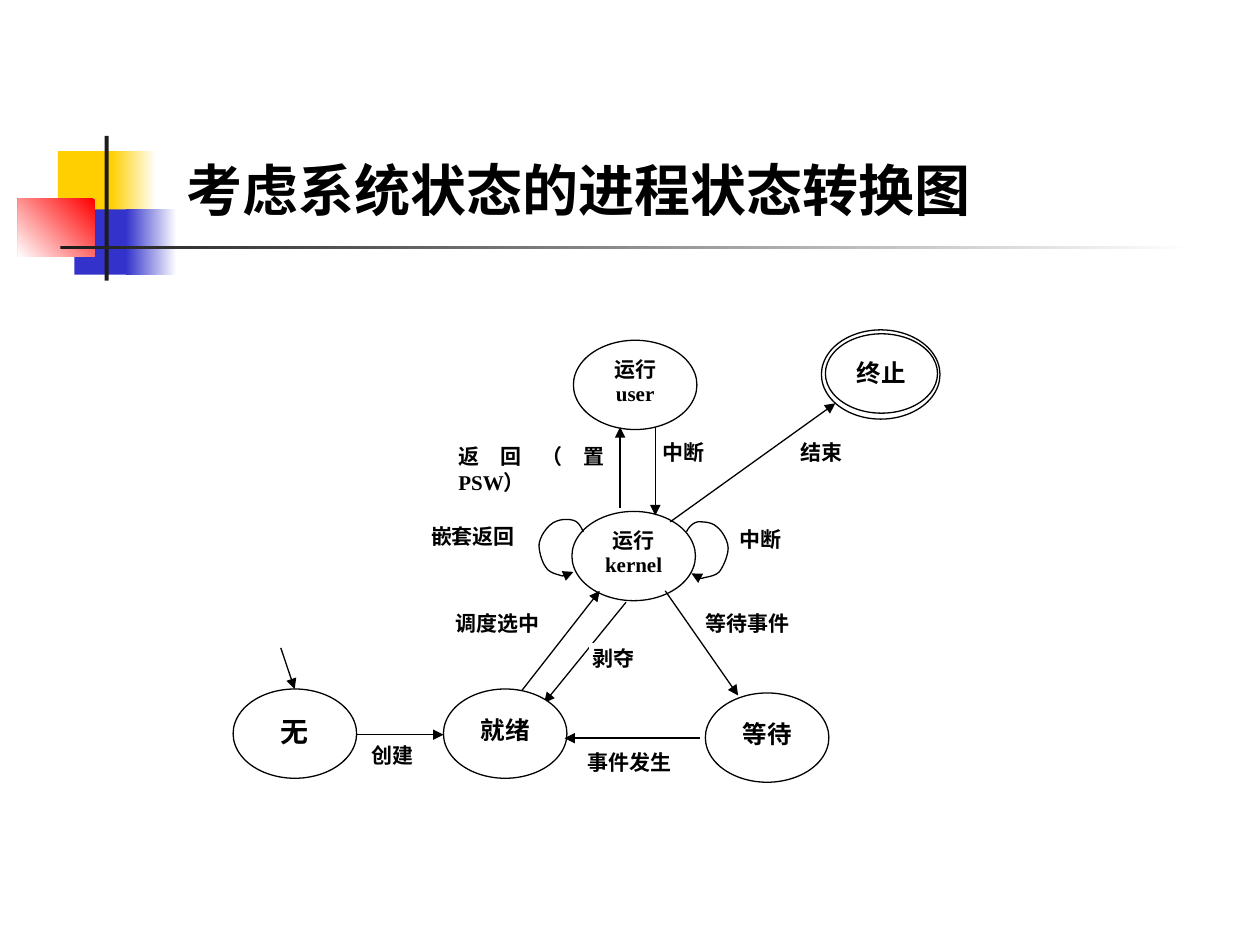
from pptx import Presentation
from pptx.dml.color import RGBColor
from pptx.enum.shapes import MSO_CONNECTOR, MSO_SHAPE
from pptx.enum.text import MSO_ANCHOR, PP_ALIGN
from pptx.oxml.ns import qn
from pptx.util import Cm, Pt
from lxml import etree

RECT, OVAL = MSO_SHAPE.RECTANGLE, MSO_SHAPE.OVAL
LINE = MSO_CONNECTOR.STRAIGHT
TOP, MIDDLE = MSO_ANCHOR.TOP, MSO_ANCHOR.MIDDLE
LEFT, CENTER, JUSTIFY = PP_ALIGN.LEFT, PP_ALIGN.CENTER, PP_ALIGN.JUSTIFY
BLACK, WHITE, DARK = "000000", "FFFFFF", "1C1C1C"
SERIF, SANS = "Times New Roman", "Karla"

# left, top, width, height, colour, fade angle (None is plain)
DECOR = [
    (1.17, 3.05, 1.22, 1.32, "FFCF01", None),
    (2.24, 3.05, 0.91, 1.32, "FFCF01", 0),
    (1.5, 4.22, 1.17, 1.32, "3333CC", None),
    (2.54, 4.22, 1.02, 1.32, "3333CC", 0),
    (0.36, 4.01, 1.55, 1.17, "FF0000", 225),
    (2.11, 2.74, 0.08, 2.92, DARK, None),
    (1.22, 4.95, 22.86, 0.08, DARK, 0),
]
# text, left, top, width
LABELS = [
    ("等待事件", 14.17, 12.27, 2.03),
    ("调度选中", 9.14, 12.27, 1.98),
    ("剥夺", 11.89, 12.98, 1.27),
    ("中断", 13.31, 8.84, 1.17),
    ("返回（置PSW）", 9.19, 8.92, 3.05),
    ("事件发生", 11.79, 15.09, 2.08),
    ("中断", 14.86, 10.59, 1.27),
    ("嵌套返回", 8.64, 10.52, 2.03),
    ("创建", 7.44, 14.94, 1.22),
    ("结束", 16.08, 8.84, 1.22),
]
# text, size, left, top
STATES = [
    ("运行\nuser", 12, 11.56, 6.86),
    ("运行\nkernel", 12, 11.53, 10.31),
    ("等待", 14, 14.22, 13.97),
    ("就绪", 14, 8.94, 13.89),
    ("无", 16, 4.7, 13.89),
]
PREEMPT = (12.62, 12.14, 10.97, 14.17)
ARROWS = [
    (13.21, 8.61, 13.21, 10.39),
    (12.5, 10.24, 12.5, 8.61),
    (13.41, 11.91, 14.88, 14.02),
    (10.52, 13.92, 12.09, 11.91),
    (14.12, 14.88, 11.38, 14.88),
    (7.19, 14.81, 8.94, 14.81),
    (13.51, 10.52, 16.84, 8.13),
    (5.66, 13.06, 5.94, 13.89),
]
# start point, then three points for each cubic curve
LOOPS = [
    [(13.84, 10.72), (13.89, 10.62), (13.97, 10.54), (14.07, 10.52),
     (14.17, 10.52), (14.35, 10.52), (14.45, 10.62),
     (14.55, 10.69), (14.68, 10.9), (14.68, 11.05),
     (14.68, 11.2), (14.58, 11.43), (14.5, 11.53),
     (14.4, 11.63), (14.22, 11.63), (14.15, 11.66),
     (14.05, 11.66), (13.99, 11.61), (13.94, 11.56)],
    [(11.76, 10.72), (11.71, 10.62), (11.66, 10.52), (11.56, 10.49),
     (11.46, 10.46), (11.28, 10.46), (11.15, 10.54),
     (11.02, 10.62), (10.9, 10.8), (10.87, 10.95),
     (10.85, 11.07), (10.92, 11.33), (11, 11.43),
     (11.07, 11.56), (11.25, 11.58), (11.33, 11.61),
     (11.43, 11.61), (11.51, 11.6), (11.56, 11.53)],
]


def color(code):
    return RGBColor.from_string(code)


def draw(slide, kind, box, fill=None, edge=None):
    shape = slide.shapes.add_shape(kind, *map(Cm, box))
    shape.shadow.inherit = False
    if fill:
        shape.fill.solid()
        shape.fill.fore_color.rgb = color(fill)
    else:
        shape.fill.background()
    if edge:
        ink(shape, edge)
    else:
        shape.line.fill.background()
    return shape


def ink(shape, code):
    shape.line.color.rgb = color(code)
    shape.line.width = Pt(0.75)


def fade(shape, code, angle):
    shape.fill.gradient()
    shape.fill.gradient_angle = angle
    for stop, tint in zip(shape.fill.gradient_stops, (code, WHITE)):
        stop.color.rgb = color(tint)


def write(shape, text, size, align, pad, font=SERIF, anchor=TOP, space=None):
    """Set bold black text; pad is left, top, right, bottom in cm."""
    frame = shape.text_frame
    frame.text = text
    frame.word_wrap = True
    frame.vertical_anchor = anchor
    (frame.margin_left, frame.margin_top,
     frame.margin_right, frame.margin_bottom) = map(Cm, pad)
    for para in frame.paragraphs:
        para.alignment = align
        para.line_spacing = space
        for run in para.runs:
            run.font.name = font
            run.font.size = Pt(size)
            run.font.bold = True
            run.font.color.rgb = color(BLACK)


def label(slide, text, left, top, width):
    shape = draw(slide, RECT, (left, top, width, 0.84), WHITE, WHITE)
    write(shape, text, 12, JUSTIFY, (0.05, 0.03, 0.05, 0.03))


def state(slide, text, size, left, top, width=2.49, height=1.8):
    shape = draw(slide, OVAL, (left, top, width, height), WHITE, BLACK)
    pad = (0.1, 0.1, 0.1, 0.1) if "\n" in text else (0.1, 0.3, 0.1, 0.2)
    write(shape, text, size, CENTER, pad, space=0.96)


def tip(shape):
    """Ink a line and put a triangle at its end."""
    ink(shape, BLACK)
    edge = shape.element.spPr.find(qn("a:ln"))
    etree.SubElement(edge, qn("a:tailEnd"), type="triangle")


def arrow(slide, ends):
    line = slide.shapes.add_connector(LINE, *map(Cm, ends))
    tip(line)
    etree.SubElement(line.element.spPr, qn("a:effectLst"))


def curve(points, steps=6):
    """Yield points along a chain of cubic curves."""
    for i in range(0, len(points) - 1, 3):
        for step in range(1, steps + 1):
            t = step / steps
            parts = ((1 - t) ** 3, 3 * t * (1 - t) ** 2,
                     3 * t * t * (1 - t), t ** 3)
            yield tuple(Cm(sum(w * p[axis] for w, p in zip(parts, points[i:i + 4])))
                        for axis in (0, 1))


def loop(slide, points):
    pen = slide.shapes.build_freeform(*map(Cm, points[0]))
    pen.add_line_segments(list(curve(points)), close=False)
    shape = pen.convert_to_shape()
    shape.fill.background()
    tip(shape)
    shape.shadow.inherit = False


def title(slide, text):
    shape = slide.shapes.title
    shape.left, shape.top, shape.width, shape.height = map(Cm, (3.51, 3, 16.79, 1.63))
    write(shape, text, 32, LEFT, (0.25, 0.13, 0.25, 0.13), SANS, MIDDLE)


def main():
    deck = Presentation()
    deck.slide_width, deck.slide_height = Cm(25.4), Cm(19.05)
    slide = deck.slides.add_slide(deck.slide_layouts[5])
    for *box, code, angle in DECOR:
        shape = draw(slide, RECT, box, code)
        if angle is not None:
            fade(shape, code, angle)
    title(slide, "考虑系统状态的进程状态转换图")
    arrow(slide, PREEMPT)
    for item in LABELS:
        label(slide, *item)
    for item in STATES:
        state(slide, *item)
    state(slide, "终止", 14, 16.64, 6.73, 2.26, 1.6)
    draw(slide, OVAL, (16.56, 6.65, 2.39, 1.8), edge=BLACK)
    for ends in ARROWS:
        arrow(slide, ends)
    for points in LOOPS:
        loop(slide, points)
    deck.save("out.pptx")


if __name__ == "__main__":
    main()
